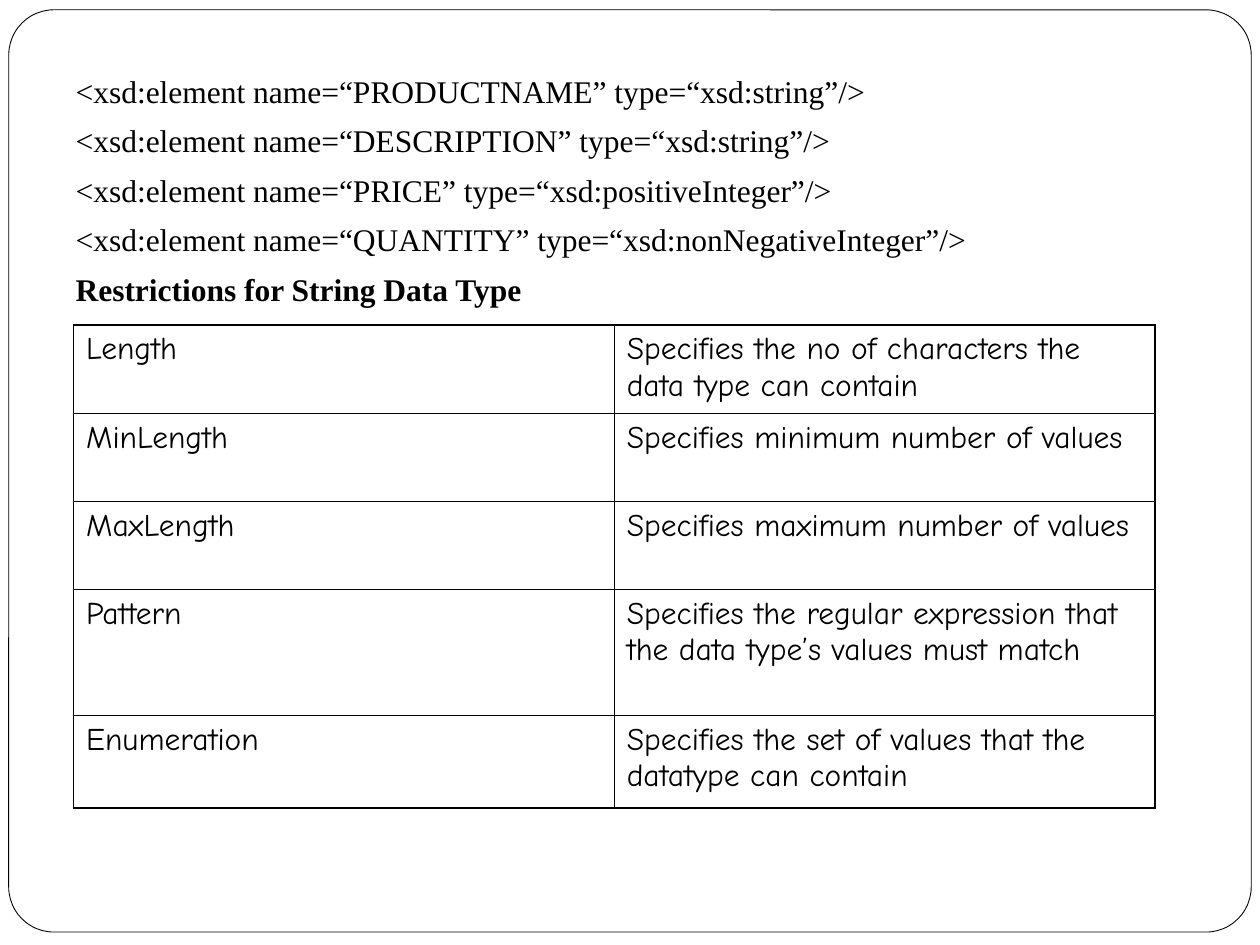
from lxml.etree import SubElement
from pptx import Presentation
from pptx.dml.color import RGBColor
from pptx.enum.shapes import MSO_SHAPE
from pptx.enum.text import MSO_AUTO_SIZE
from pptx.oxml import parse_xml
from pptx.oxml.ns import nsdecls, qn
from pptx.util import Pt

BLACK = RGBColor(0, 0, 0)
WHITE = RGBColor(255, 255, 255)
BODY_FONT = "Times New Roman"
TABLE_FONT = "Comic Neue"
TEXT_SIZE = Pt(18)
OUTER_RULE, INNER_RULE = Pt(1.08), Pt(0.45)

ELEMENTS = [
    ("PRODUCTNAME", "string"),
    ("DESCRIPTION", "string"),
    ("PRICE", "positiveInteger"),
    ("QUANTITY", "nonNegativeInteger"),
]
HEADING = "Restrictions for String Data Type"

# Restriction, meaning, row height in points
RESTRICTIONS = [
    ("Length", "Specifies the no of characters the data type can contain", 50.4),
    ("MinLength", "Specifies minimum number of values", 50.4),
    ("MaxLength", "Specifies maximum number of values", 50.4),
    ("Pattern", "Specifies the regular expression that the data type’s values must match", 72),
    ("Enumeration", "Specifies the set of values that the datatype can contain", 52.8),
]


def style_paragraph(paragraph, font_name, bold=False):
    font = paragraph.font
    font.name, font.size, font.bold = font_name, TEXT_SIZE, bold
    font.color.rgb = BLACK


def add_frame(slide):
    frame = slide.shapes.add_shape(
        MSO_SHAPE.ROUNDED_RECTANGLE, Pt(5), Pt(5.6), Pt(710), Pt(527))
    frame.adjustments[0] = 0.049
    frame.shadow.inherit = False
    frame.fill.solid()
    frame.fill.fore_color.rgb = WHITE
    frame.line.color.rgb = BLACK
    frame.line.width = Pt(0.5)
    # Send the frame behind the placeholders
    slide.shapes._spTree.insert(2, frame._element)


def fill_declarations(body):
    body.left, body.top, body.width, body.height = Pt(36), Pt(36), Pt(684), Pt(162)
    text = body.text_frame
    text.auto_size = MSO_AUTO_SIZE.NONE
    text.margin_top = Pt(5)
    lines = [f"<xsd:element name=“{name}” type=“xsd:{kind}”/>" for name, kind in ELEMENTS]
    lines.append(HEADING)
    for number, line in enumerate(lines):
        paragraph = text.add_paragraph() if number else text.paragraphs[0]
        paragraph.text = line
        properties = paragraph._p.get_or_add_pPr()
        properties.set("marL", str(Pt(21.6)))
        properties.set("indent", str(Pt(-21.6)))
        SubElement(properties, qn("a:buNone"))
        paragraph.space_before = Pt(6.7 if number else 0)
        style_paragraph(paragraph, BODY_FONT, bold=line == HEADING)


def set_borders(cell, outer_sides):
    properties = cell._tc.get_or_add_tcPr()
    for position, side in enumerate("LRTB"):
        width = OUTER_RULE if side in outer_sides else INNER_RULE
        properties.insert(position, parse_xml(
            f'<a:ln{side} {nsdecls("a")} w="{width}"><a:solidFill>'
            f'<a:srgbClr val="{BLACK}"/></a:solidFill></a:ln{side}>'))


def add_restrictions(slide):
    heights = [height for *_, height in RESTRICTIONS]
    table = slide.shapes.add_table(
        len(RESTRICTIONS), 2, Pt(42), Pt(185.8), Pt(618), Pt(sum(heights))).table
    table.first_row = table.horz_banding = False
    last = len(RESTRICTIONS) - 1
    for row, (*words, height) in enumerate(RESTRICTIONS):
        table.rows[row].height = Pt(height)
        for column, wording in enumerate(words):
            cell = table.cell(row, column)
            cell.text = wording
            cell.fill.solid()
            cell.fill.fore_color.rgb = WHITE
            style_paragraph(cell.text_frame.paragraphs[0], TABLE_FONT)
            outer_sides = "LR"[column]
            outer_sides += "T" if row == 0 else "B" if row == last else ""
            set_borders(cell, outer_sides)


def main():
    presentation = Presentation()
    presentation.slide_width, presentation.slide_height = Pt(720), Pt(540)
    slide = presentation.slides.add_slide(presentation.slide_layouts[1])

    # The slide has no title
    title = slide.shapes.title._element
    title.getparent().remove(title)

    add_frame(slide)
    fill_declarations(slide.placeholders[1])
    add_restrictions(slide)
    presentation.save("out.pptx")


if __name__ == "__main__":
    main()
